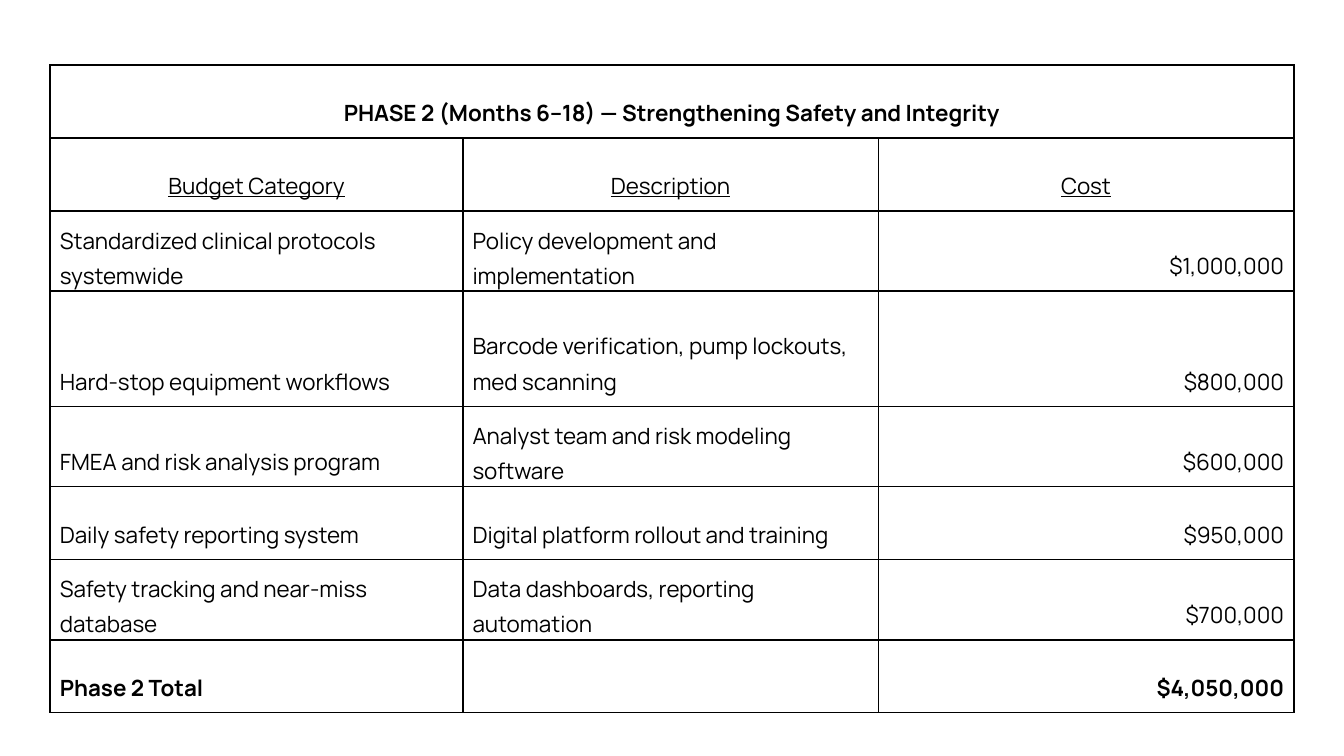
from lxml import etree
from pptx import Presentation, util as u
from pptx.dml.color import RGBColor
from pptx.enum import text
from pptx.oxml import ns

COLORS = {"ink": "000000", "paper": "FFFFFF"}
FONT = "Manrope"
INSET = u.Cm(0.18)
COLUMN_WIDTHS = [7.8, 7.85, 7.85]
ROW_HEIGHT = 1.38
TALL_ROW, TALL_HEIGHT = 3, 2.18
TWO_LINE_CELLS = {(2, 0), (2, 1), (4, 1), (6, 0), (6, 1)}

TITLE = "PHASE 2 (Months 6–18) — Strengthening Safety and Integrity"
HEADINGS = ("Budget Category", "Description", "Cost")
ITEMS = [
    ("Standardized clinical protocols systemwide",
     "Policy development and implementation", "$1,000,000"),
    ("Hard-stop equipment workflows",
     "Barcode verification, pump lockouts, med scanning", "$800,000"),
    ("FMEA and risk analysis program",
     "Analyst team and risk modeling software", "$600,000"),
    ("Daily safety reporting system",
     "Digital platform rollout and training", "$950,000"),
    ("Safety tracking and near-miss database",
     "Data dashboards, reporting automation", "$700,000"),
]
TOTAL = ("Phase 2 Total", "", "$4,050,000")


def set_borders(cell):
    """Draw a one-point line on all four sides of a cell."""
    props = cell._tc.get_or_add_tcPr()
    for side in ("lnL", "lnR", "lnT", "lnB"):
        line = etree.SubElement(props, ns.qn(f"a:{side}"), w=str(u.Pt(1)))
        fill = etree.SubElement(line, ns.qn("a:solidFill"))
        etree.SubElement(fill, ns.qn("a:srgbClr"), val=COLORS["ink"])


def fill_cell(cell, words, align, bottom, bold=False, underline=False):
    """Style a cell and write its text."""
    set_borders(cell)
    cell.fill.solid()
    cell.fill.fore_color.rgb = RGBColor.from_string(COLORS["paper"])
    cell.margin_left = cell.margin_right = cell.margin_top = INSET
    cell.margin_bottom = bottom
    cell.vertical_anchor = text.MSO_ANCHOR.BOTTOM
    if not words:
        return
    p = cell.text_frame.paragraphs[0]
    p.text = words
    p.alignment = align
    p.line_spacing = 1.15
    for r in p.runs:
        r.font.name = FONT
        r.font.size = u.Pt(12)
        r.font.bold = bold
        r.font.underline = underline
        r.font.color.rgb = RGBColor.from_string(COLORS["ink"])


def add_budget_table(s, left, top, width, height):
    """Place the budget table with its title, headings, items and total."""
    rows = [(TITLE, "", ""), HEADINGS, *ITEMS, TOTAL]
    table = s.shapes.add_table(
        len(rows), len(HEADINGS), left, top, width, height).table
    table.first_row = table.horz_banding = False
    for column, size in zip(table.columns, COLUMN_WIDTHS):
        column.width = u.Cm(size)
    align = text.PP_ALIGN
    for i, row in enumerate(rows):
        table.rows[i].height = u.Cm(TALL_HEIGHT if i == TALL_ROW else ROW_HEIGHT)
        for j, words in enumerate(row):
            side = align.CENTER if i < 2 else align.RIGHT if j == 2 else align.LEFT
            bottom = u.Cm(0) if (i, j) in TWO_LINE_CELLS else INSET
            fill_cell(table.cell(i, j), words, side, bottom,
                      bold=i in (0, len(rows) - 1), underline=i == 1)
    table.cell(0, 0).merge(table.cell(0, len(HEADINGS) - 1))


def main():
    """Build the slide and save it."""
    prs = Presentation()
    prs.slide_width, prs.slide_height = u.Cm(25.4), u.Cm(14.29)
    s = prs.slides.add_slide(prs.slide_layouts[6])
    height = ROW_HEIGHT * (len(ITEMS) + 2) + TALL_HEIGHT
    add_budget_table(s, u.Cm(0.95), u.Cm(1.23),
                     u.Cm(sum(COLUMN_WIDTHS)), u.Cm(height))
    prs.save("out.pptx")


if __name__ == "__main__":
    main()
